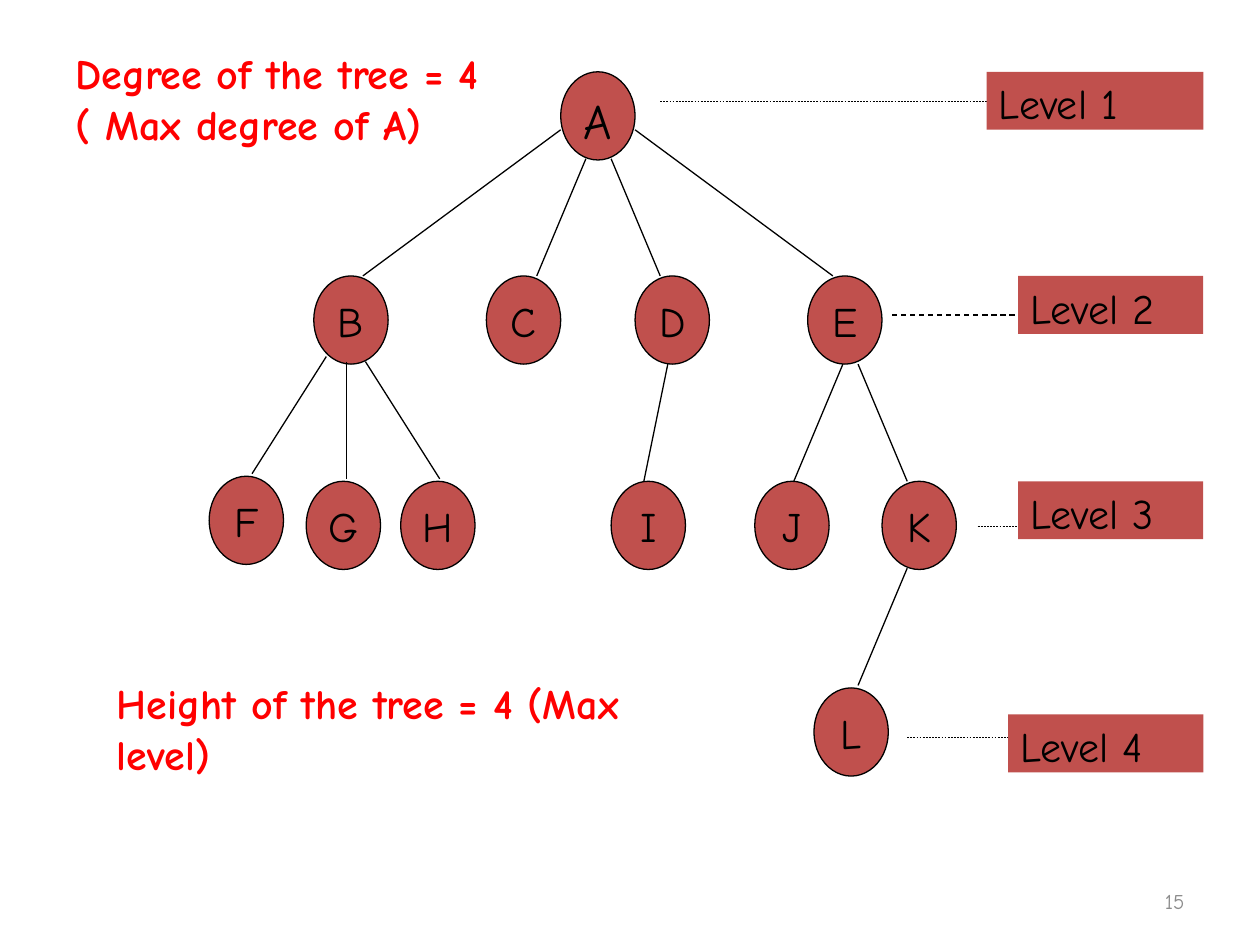
from dataclasses import dataclass

from pptx import Presentation
from pptx.dml.color import RGBColor
from pptx.enum.dml import MSO_LINE_DASH_STYLE as DASH
from pptx.enum.shapes import MSO_CONNECTOR, MSO_SHAPE
from pptx.enum.text import MSO_ANCHOR as ANCHOR, PP_ALIGN as ALIGN
from pptx.oxml.ns import qn
from pptx.util import Inches, Pt
from lxml.etree import SubElement


@dataclass(frozen=True)
class Theme:
    font: str = "Comic Neue"
    fill: RGBColor = RGBColor(0xC0, 0x50, 0x4D)
    ink: RGBColor = RGBColor(0, 0, 0)
    note: RGBColor = RGBColor(0xFF, 0, 0)
    muted: RGBColor = RGBColor(0x8C, 0x8C, 0x8C)
    root_size: int = 28
    body_size: int = 24
    number_size: int = 12
    line: float = 0.75
    hairline: float = 0.25


NODE_W, NODE_H = 0.59, 0.7
LEVEL_H, LEVEL_RIGHT = 0.46, 9.55
ROW_1, ROW_2, ROW_3, ROW_4 = 0.57, 2.19, 3.82, 5.46

# letter: (left, top)
NODES = {
    "A": (4.45, ROW_1),
    "B": (2.49, ROW_2), "C": (3.86, ROW_2), "D": (5.04, ROW_2), "E": (6.41, ROW_2),
    "F": (1.66, 3.78), "G": (2.43, ROW_3), "H": (3.18, ROW_3),
    "I": (4.85, ROW_3), "J": (5.99, ROW_3), "K": (7.0, ROW_3),
    "L": (6.46, ROW_4),
}

# x and y at the parent, then x and y at the child
EDGES = [
    (4.45, 1.03, 2.88, ROW_2),  # A-B
    (4.65, 1.26, 4.26, ROW_2),  # A-C
    (4.85, 1.26, 5.24, ROW_2),  # A-D
    (5.04, 1.03, 6.61, ROW_2),  # A-E
    (2.59, 2.83, 2.0, 3.76),    # B-F
    (2.75, 2.87, 2.75, 3.8),    # B-G
    (2.9, 2.87, 3.49, 3.8),     # B-H
    (5.3, 2.89, 5.11, ROW_3),   # D-I
    (6.69, 2.89, 6.3, ROW_3),   # E-J
    (6.81, 2.89, 7.2, ROW_3),   # E-K
    (7.2, 4.51, 6.81, 5.44),    # K-L
]

# box left, box top, then start, end and height of its dashed line
LEVELS = [
    (7.83, ROW_1, 5.24, 8.18, 0.8),
    (8.08, ROW_2, 7.08, 8.06, 2.5),
    (8.08, ROW_3, 7.76, 8.18, 4.18),
    (8.0, 5.67, 7.2, 8.18, 5.85),
]


class Deck:
    """Holds the theme and the current slide."""

    def __init__(self, slide, theme):
        self.s, self.t = slide, theme

    def set_text(self, sp, text, size, color, align=ALIGN.LEFT, bold=False,
                 anchor=ANCHOR.TOP, **frame):
        tf = sp.text_frame
        for name, value in {"word_wrap": True, "vertical_anchor": anchor, **frame}.items():
            setattr(tf, name, value)
        p = tf.paragraphs[0]
        p.alignment = align
        r = p.add_run()
        r.text = text
        for name, value in {"name": self.t.font, "size": Pt(size), "bold": bold}.items():
            setattr(r.font, name, value)
        r.font.color.rgb = color

    def shape(self, kind, *box):
        sp = self.s.shapes.add_shape(kind, *map(Inches, box))
        sp.shadow.inherit = False
        sp.fill.solid()
        sp.fill.fore_color.rgb = self.t.fill
        return sp

    def node(self, letter, left, top):
        sp = self.shape(MSO_SHAPE.OVAL, left, top, NODE_W, NODE_H)
        sp.line.color.rgb = self.t.ink
        sp.line.width = Pt(self.t.line)
        size = self.t.root_size if letter == "A" else self.t.body_size
        self.set_text(sp, letter, size, self.t.ink, ALIGN.CENTER, margin_left=0, margin_right=0)

    def level(self, text, left, top):
        sp = self.shape(MSO_SHAPE.RECTANGLE, left, top, LEVEL_RIGHT - left, LEVEL_H)
        sp.line.fill.background()
        self.set_text(sp, text, self.t.body_size, self.t.ink)

    def line(self, x1, y1, x2, y2, width, dash=None):
        c = self.s.shapes.add_connector(MSO_CONNECTOR.STRAIGHT, *map(Inches, (x1, y1, x2, y2)))
        c.line.color.rgb = self.t.ink
        c.line.width = Pt(width)
        if dash:
            c.line.dash_style = dash
        SubElement(c._element.spPr, qn("a:effectLst"))

    def text(self, text, box, size, color, **style):
        sp = self.s.shapes.add_textbox(*map(Inches, box))
        self.set_text(sp, text, size, color, **style)


def main():
    prs = Presentation()
    prs.slide_width, prs.slide_height = Inches(10), Inches(7.5)
    t = Theme()
    deck = Deck(prs.slides.add_slide(prs.slide_layouts[6]), t)

    for letter, place in NODES.items():
        deck.node(letter, *place)
    for edge in EDGES:
        deck.line(*edge, t.line)
    for number, (left, top, start, end, y) in enumerate(LEVELS, 1):
        deck.line(start, y, end, y, t.line if number == 2 else t.hairline, DASH.DASH)
        deck.level(f"Level {number}", left, top)

    deck.text("Degree of the tree = 4 ( Max degree of A)", (0.5, 0.33, 3.83, 0.91),
              t.body_size, t.note, bold=True)
    deck.text("Height of the tree = 4 (Max level)", (0.83, 5.33, 4.75, 0.91),
              t.body_size, t.note, bold=True)
    deck.text("15", (7.17, 6.95, 2.33, 0.4), t.number_size, t.muted,
              align=ALIGN.RIGHT, anchor=ANCHOR.MIDDLE)
    prs.save("out.pptx")


if __name__ == "__main__":
    main()
